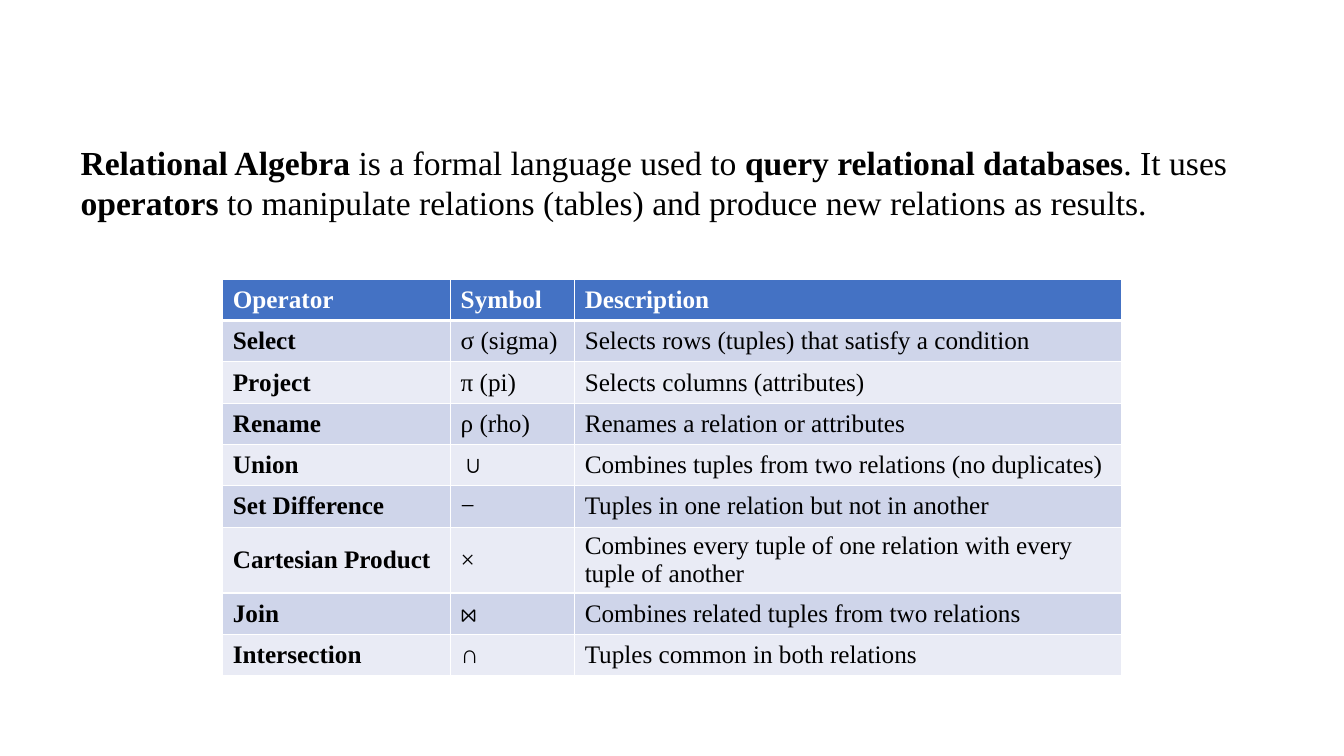
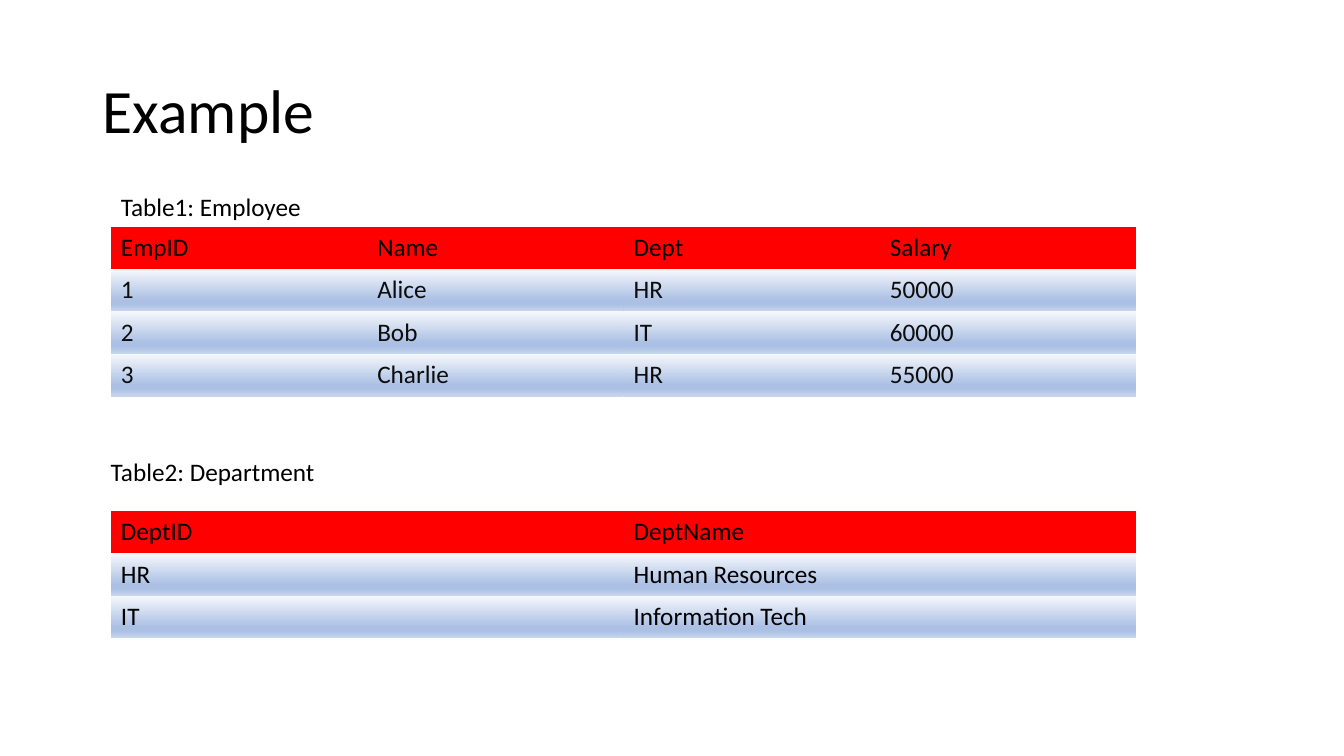
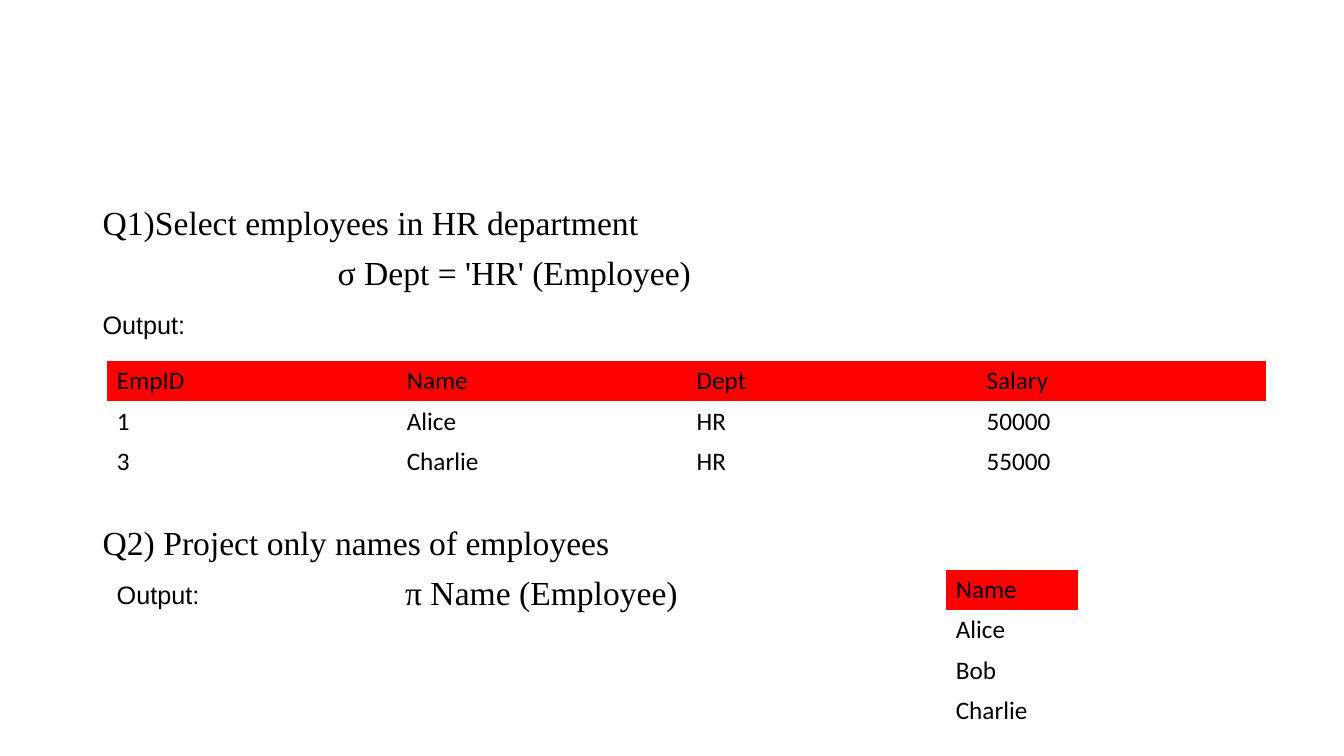
from lxml import etree
from pptx import Presentation
from pptx.dml.color import RGBColor
from pptx.enum import text
from pptx.oxml.ns import qn
from pptx.util import Inches, Pt

COLORS = {
    "black": "000000", "ink": "0D0D0D", "white": "FFFFFF", "red": "FF0000",
    "blue": "4472C4", "band_dark": "CFD5EA", "band_light": "E9EBF5",
    "grad_top": "F6F8FC", "grad_mid": "ABC0E4", "grad_end": "C7D5ED",
}
GRADIENT = [(0, "grad_top"), (74, "grad_mid"), (83, "grad_mid"), (100, "grad_end")]
SERIF, SANS, ARIAL = "Times New Roman", "Calibri", "Arial"
NO_STYLE = "{2D5ABB26-0587-4C30-8999-92F81FD0307C}"

OPERATORS = [
    ("Operator", "Symbol", "Description"),
    ("Select", "σ (sigma)", "Selects rows (tuples) that satisfy a condition"),
    ("Project", "π (pi)", "Selects columns (attributes)"),
    ("Rename", "ρ (rho)", "Renames a relation or attributes"),
    ("Union", "∪", "Combines tuples from two relations (no duplicates)"),
    ("Set Difference", "−", "Tuples in one relation but not in another"),
    ("Cartesian Product", "×",
     "Combines every tuple of one relation with every tuple of another"),
    ("Join", "⋈", "Combines related tuples from two relations"),
    ("Intersection", "∩", "Tuples common in both relations"),
]
EMPLOYEES = [
    ("EmpID", "Name", "Dept", "Salary"),
    ("1", "Alice", "HR", "50000"),
    ("2", "Bob", "IT", "60000"),
    ("3", "Charlie", "HR", "55000"),
]
DEPARTMENTS = [
    ("DeptID", "DeptName"), ("HR", "Human Resources"), ("IT", "Information Tech"),
]


def rgb(name):
    return RGBColor.from_string(COLORS[name])


def style_font(font, name, size, color="black", bold=None):
    font.name, font.size, font.bold = name, Pt(size), bold
    font.color.rgb = rgb(color)


def add_color(parent, name):
    etree.SubElement(parent, qn("a:srgbClr"), val=COLORS[name])


def add_text(slide, box, lines, font, size, spacing=None, before=0, indent=0,
             anchor=text.MSO_ANCHOR.TOP):
    """Add a text box; a line is a list of (words, bold) runs, and lines after the first are indented."""
    tf = slide.shapes.add_textbox(*map(Inches, box)).text_frame
    tf.word_wrap = True
    tf.vertical_anchor = anchor
    for i, runs in enumerate(lines):
        p = tf.add_paragraph() if i else tf.paragraphs[0]
        if i:
            p.space_before = Pt(before)
            p._p.get_or_add_pPr().set("marL", str(Inches(indent)))
        if spacing:
            p.line_spacing = spacing
        style_font(p.font, font, size)
        for words, bold in runs:
            r = p.add_run()
            r.text = words
            if bold:
                r.font.bold = True


def add_plain(slide, box, lines, font, size, **options):
    add_text(slide, box, [[(line, False)] for line in lines], font, size, **options)


def set_borders(cell, bottom):
    tc_pr = cell._tc.get_or_add_tcPr()
    for side, width in (("L", 1), ("R", 1), ("T", 1), ("B", bottom)):
        ln = etree.SubElement(tc_pr, qn("a:ln" + side), w=str(Pt(width)))
        add_color(etree.SubElement(ln, qn("a:solidFill")), "white")


def fill_gradient(cell):
    grad = etree.SubElement(cell._tc.get_or_add_tcPr(), qn("a:gradFill"), rotWithShape="1")
    stops = etree.SubElement(grad, qn("a:gsLst"))
    for percent, color in GRADIENT:
        add_color(etree.SubElement(stops, qn("a:gs"), pos=str(percent * 1000)), color)
    etree.SubElement(grad, qn("a:lin"), ang="5400000", scaled="0")


def fill_cell(cell, fill):
    if fill == "gradient":
        fill_gradient(cell)
    elif fill:
        cell.fill.solid()
        cell.fill.fore_color.rgb = rgb(fill)
    else:
        cell.fill.background()


def add_table(slide, left, top, widths, row_height, rows, header="red",
              bands=(None,), font=SANS, header_ink="black", ink="black",
              emphasis=False):
    """Add a table; emphasis gives white borders and a bold first row and column."""
    frame = slide.shapes.add_table(len(rows), len(widths), Inches(left), Inches(top),
                                   Inches(sum(widths)), Inches(row_height * len(rows)))
    table = frame.table
    table._tbl.tblPr.find(qn("a:tableStyleId")).text = NO_STYLE
    for column, width in zip(table.columns, widths):
        column.width = Inches(width)
    for i, row in enumerate(rows):
        table.rows[i].height = Inches(row_height)
        for j, words in enumerate(row):
            cell = table.cell(i, j)
            cell.vertical_anchor = text.MSO_ANCHOR.MIDDLE
            if emphasis:
                set_borders(cell, 1 if i else 3)
            fill_cell(cell, bands[(i - 1) % len(bands)] if i else header)
            p = cell.text_frame.paragraphs[0]
            p.text = words
            style_font(p.font, font, 18, ink if i else header_ink,
                       emphasis and (i == 0 or j == 0))


def operators_slide(slide):
    add_table(slide, 2.21, 2.77, [2.26, 1.23, 5.42], 0.41, OPERATORS, header="blue",
              bands=("band_dark", "band_light"), font=SERIF, header_ink="white",
              emphasis=True)
    definition = [
        ("Relational Algebra", True), (" is a formal language used to ", False),
        ("query relational databases", True), (". It uses ", False),
        ("operators", True),
        (" to manipulate relations (tables) and produce new relations as results.", False),
    ]
    add_text(slide, (0.7, 1.36, 12.09, 0.91), [definition], SERIF, 24)


def example_slide(slide):
    add_plain(slide, (0.92, 0.4, 11.5, 1.45), ["Example"], SANS, 44, spacing=0.9,
              anchor=text.MSO_ANCHOR.MIDDLE)
    width = 10.17
    for top, rows, ink in ((2.25, EMPLOYEES, "ink"), (5.07, DEPARTMENTS, "black")):
        columns = len(rows[0])
        add_table(slide, 1.1, top, [width / columns] * columns, 0.42, rows,
                  bands=("gradient",), ink=ink)
    add_plain(slide, (1.1, 1.85, 4.15, 0.4), ["Table1: Employee"], SANS, 18)
    add_plain(slide, (1, 4.48, 5.66, 0.4), ["Table2: Department"], SANS, 18)


def queries_slide(slide):
    queries = [
        (2, 2.33, "Q1)Select employees in HR department", "σ Dept = 'HR' (Employee)"),
        (5.17, 3, "Q2) Project only names of employees", "π Name (Employee)"),
    ]
    for top, indent, question, formula in queries:
        add_plain(slide, (0.92, top, 11.5, 0.95), [question, formula], SERIF, 24,
                  spacing=0.9, before=10, indent=indent)
    for left, top in ((0.92, 3.02), (1.06, 5.7)):
        add_plain(slide, (left, top, 1.2, 0.4), ["Output:"], ARIAL, 18)
    hr_staff = [row for row in EMPLOYEES if row[2] in ("Dept", "HR")]
    add_table(slide, 1.06, 3.58, [11.5 / 4] * 4, 0.4, hr_staff)
    add_table(slide, 9.38, 5.65, [1.31], 0.4, [(row[1],) for row in EMPLOYEES])


def main():
    prs = Presentation()
    prs.slide_width, prs.slide_height = Inches(13.33), Inches(7.5)
    for build in (operators_slide, example_slide, queries_slide):
        build(prs.slides.add_slide(prs.slide_layouts[6]))
    prs.save("out.pptx")


if __name__ == "__main__":
    main()
